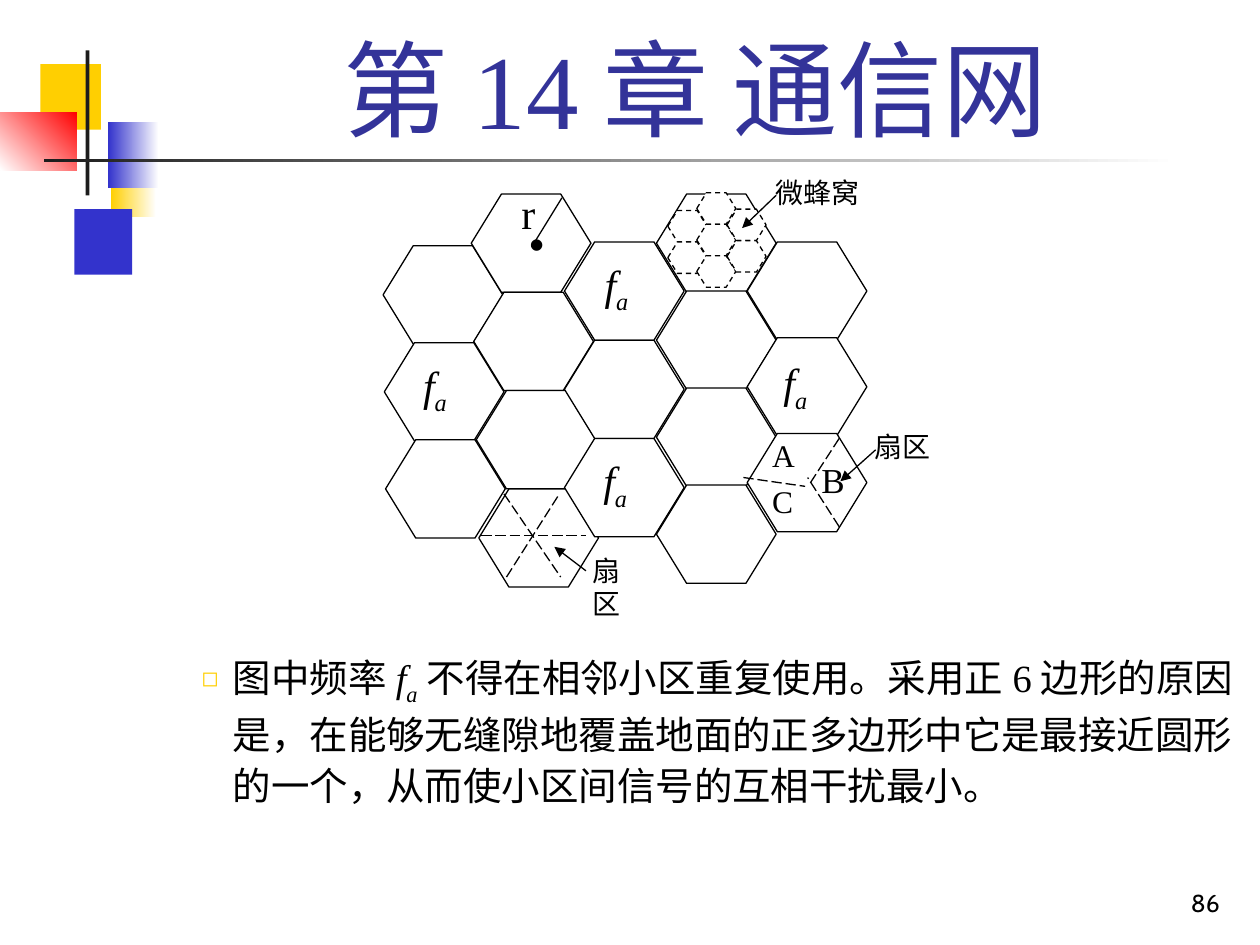
from lxml import etree
from pptx import Presentation
from pptx.dml.color import RGBColor
from pptx.enum.dml import MSO_LINE
from pptx.enum.shapes import MSO_CONNECTOR, MSO_SHAPE
from pptx.enum.text import MSO_ANCHOR, PP_ALIGN
from pptx.oxml.ns import qn
from pptx.util import Inches, Pt

RECTANGLE, HEXAGON = MSO_SHAPE.RECTANGLE, MSO_SHAPE.HEXAGON
STRAIGHT = MSO_CONNECTOR.STRAIGHT
DASH, LONG_DASH = MSO_LINE.DASH, MSO_LINE.LONG_DASH
TOP, BOTTOM = MSO_ANCHOR.TOP, MSO_ANCHOR.BOTTOM
LEFT, CENTER, RIGHT = PP_ALIGN.LEFT, PP_ALIGN.CENTER, PP_ALIGN.RIGHT

BLACK, WHITE, YELLOW, BLUE, RED = "000000", "FFFFFF", "FFCF01", "3333CC", "FF0000"
CHARCOAL, INDIGO = "1C1C1C", "333399"
SERIF = "Times New Roman"
COLUMNS, ROWS = 10, 7.5
FREQUENCY = [("f", {"italic": True}), ("a", {"italic": True, "baseline": -25000})]


def color(value):
    """Turn a hex string into a colour."""
    return RGBColor.from_string(value)


def apply(target, values):
    """Set every value of a format dict on the target."""
    for name, value in values.items():
        setattr(target, name, value)


class Sketch:
    """Draw elements in one style, placed by columns and rows."""

    def __init__(self, deck):
        """Open a blank slide and measure its grid."""
        self.slide = deck.slides.add_slide(deck.slide_layouts[6])
        self.shapes = self.slide.shapes
        self.column = deck.slide_width / COLUMNS
        self.row = deck.slide_height / ROWS
        self.stroke = Pt(0.75)

    def place(self, *lengths):
        """Turn alternating columns and rows into slide lengths."""
        units = (self.column, self.row) * 2
        return [int(length * unit) for length, unit in zip(lengths, units)]

    def block(self, box, fill, fade=None, angle=180):
        """Add a borderless rectangle, plain or fading to a second colour."""
        block = self.shapes.add_shape(RECTANGLE, *self.place(*box))
        block.shadow.inherit = False
        block.line.fill.background()
        if fade is None:
            block.fill.solid()
            block.fill.fore_color.rgb = color(fill)
            return
        block.fill.gradient()
        block.fill.gradient_angle = angle
        for stop, value in zip(block.fill.gradient_stops, (fill, fade)):
            stop.color.rgb = color(value)

    def cells(self, left, top, count, pitch, size, drift=0, dash=None):
        """Stack a column of hexagonal cells."""
        for index in range(count):
            box = (left + index * drift, top + index * pitch, *size)
            cell = self.shapes.add_shape(HEXAGON, *self.place(*box))
            cell.adjustments[0] = 0.307
            cell.shadow.inherit = False
            cell.fill.solid()
            cell.fill.fore_color.rgb = color(WHITE)
            self.outline(cell.line, dash)

    def outline(self, line, dash):
        """Give a line the common stroke."""
        line.color.rgb = color(BLACK)
        apply(line, {"width": self.stroke, "dash_style": dash})

    def line(self, start, end, dash=None, arrow=False):
        """Connect two points, with an arrowhead at the end if asked."""
        line = self.shapes.add_connector(STRAIGHT, *self.place(*start, *end))
        self.outline(line.line, dash)
        properties = line._element.spPr
        if arrow:
            tail = etree.SubElement(properties.find(qn("a:ln")), qn("a:tailEnd"))
            tail.set("type", "triangle")
        etree.SubElement(properties, qn("a:effectLst"))

    def text(self, box, runs, size, font=SERIF, ink=BLACK, align=LEFT,
             anchor=TOP, inset=True, spacing=None):
        """Write one paragraph of runs and return it."""
        frame = self.shapes.add_textbox(*self.place(*box)).text_frame
        apply(frame, {"word_wrap": True, "vertical_anchor": anchor})
        if not inset:
            sides = ("left", "top", "right", "bottom")
            apply(frame, {f"margin_{side}": 0 for side in sides})
        paragraph = frame.paragraphs[0]
        apply(paragraph, {"alignment": align, "line_spacing": spacing})
        for words, look in [(runs, {})] if isinstance(runs, str) else runs:
            run = paragraph.add_run()
            run.text = words
            look = {"name": font, "size": Pt(size), **look}
            baseline = look.pop("baseline", None)
            apply(run.font, look)
            run.font.color.rgb = color(ink)
            if baseline:
                run.font._element.set("baseline", str(baseline))
        return paragraph

    def bullet(self, paragraph, mark, ink, percent, indent):
        """Hang a coloured bullet before a paragraph."""
        properties = paragraph._p.get_or_add_pPr()
        properties.set("marL", str(int(indent * self.column)))
        properties.set("indent", str(-int(indent * self.column)))
        tint = etree.SubElement(properties, qn("a:buClr"))
        etree.SubElement(tint, qn("a:srgbClr")).set("val", ink)
        etree.SubElement(properties, qn("a:buSzPct")).set("val", str(percent * 1000))
        etree.SubElement(properties, qn("a:buChar")).set("char", mark)


def draw_ornament(sketch):
    """Draw the coloured blocks and rules beside the title."""
    sketch.block((0.88, 1.2, 0.36, 0.52), WHITE, YELLOW)
    sketch.block((0.59, 1.66, 0.46, 0.52), BLUE)
    sketch.block((0.32, 0.51, 0.48, 0.52), YELLOW)
    sketch.block((0.86, 0.97, 0.4, 0.52), WHITE, BLUE)
    sketch.block((0, 0.89, 0.61, 0.46), RED, WHITE, angle=225)
    sketch.block((0.68, 0.4, 0.03, 1.15), CHARCOAL)
    sketch.block((0.35, 1.26, 9, 0.03), WHITE, CHARCOAL)


def draw_network(sketch):
    """Draw the cells with their frequencies, microcells and sectors."""
    cell_columns = [(3.04, 1.95, 3, 0.77, 0.01), (3.74, 1.54, 4, 0.78, 0.02),
                    (4.48, 1.92, 3, 0.78, 0), (5.21, 1.54, 4, 0.77, 0),
                    (5.93, 1.92, 3, 0.76, 0)]
    for left, top, count, pitch, drift in cell_columns:
        sketch.cells(left, top, count, pitch, (0.95, 0.78), drift)
    for left, top in [(4.7, 2), (3.26, 2.8), (6.12, 2.78), (4.69, 3.56)]:
        sketch.text((left, top, 0.63, 0.58), FREQUENCY, 24)
    for left, top, count in [(5.3, 1.67, 2), (5.53, 1.53, 3), (5.77, 1.66, 2)]:
        sketch.cells(left, top, count, 0.25, (0.31, 0.25), dash=DASH)

    sketch.text((3.97, 1.68, 0.58, 0.49), "•", 24, font="Arial", align=CENTER)
    sketch.line((4.22, 1.96), (4.46, 1.57))
    sketch.text((4.04, 1.44, 0.58, 0.49), "r", 24)

    sector_borders = [((6.66, 3.48), (6.42, 3.85)), ((6.66, 4.18), (6.41, 3.79)),
                      ((5.9, 3.79), (6.39, 3.86)), ((4, 3.92), (4.45, 4.58)),
                      ((3.82, 4.25), (4.65, 4.25)), ((4.02, 4.58), (4.44, 3.92))]
    for start, end in sector_borders:
        sketch.line(start, end, LONG_DASH)
    sectors = [("A", 6.03, 3.41, 18), ("B", 6.42, 3.59, 20), ("C", 6.03, 3.78, 18)]
    for sector, left, top, size in sectors:
        sketch.text((left, top, 0.65, 0.41), sector, size)

    callouts = [("微蜂窝", (6.06, 1.34, 0.98, 0.38), True, (6.16, 1.55), (5.89, 1.81)),
                ("扇区", (6.84, 3.36, 0.73, 0.38), True, (6.95, 3.57), (6.67, 3.82)),
                ("扇区", (4.7, 4.39, 0.42, 0.24), False, (4.65, 4.53), (4.4, 4.34))]
    for label, box, inset, start, end in callouts:
        sketch.text(box, label, 16, inset=inset)
        sketch.line(start, end, arrow=True)


def main():
    """Build the slide and save it."""
    deck = Presentation()
    apply(deck, {"slide_width": Inches(10), "slide_height": Inches(7.5)})
    sketch = Sketch(deck)
    draw_ornament(sketch)
    sketch.text((1.26, 0.23, 8.52, 1.01), "第14章 通信网", 60,
                ink=INDIGO, align=CENTER, anchor=BOTTOM)
    explanation = [("图中频率", {}), *FREQUENCY,
                   ("不得在相邻小区重复使用。采用正6边形的原因是，在能够无缝隙地覆盖地面的"
                    "正多边形中它是最接近圆形的一个，从而使小区间信号的互相干扰最小。", {})]
    reason = sketch.text((1.5, 5.1, 8.5, 1.4), explanation, 22, spacing=1.1)
    sketch.bullet(reason, "◻", YELLOW, 55, 0.25)
    draw_network(sketch)
    sketch.text((7.7, 6.83, 2.08, 0.5), "86", 14, font="Cabin",
                align=RIGHT, anchor=BOTTOM)
    deck.save("out.pptx")


if __name__ == "__main__":
    main()
